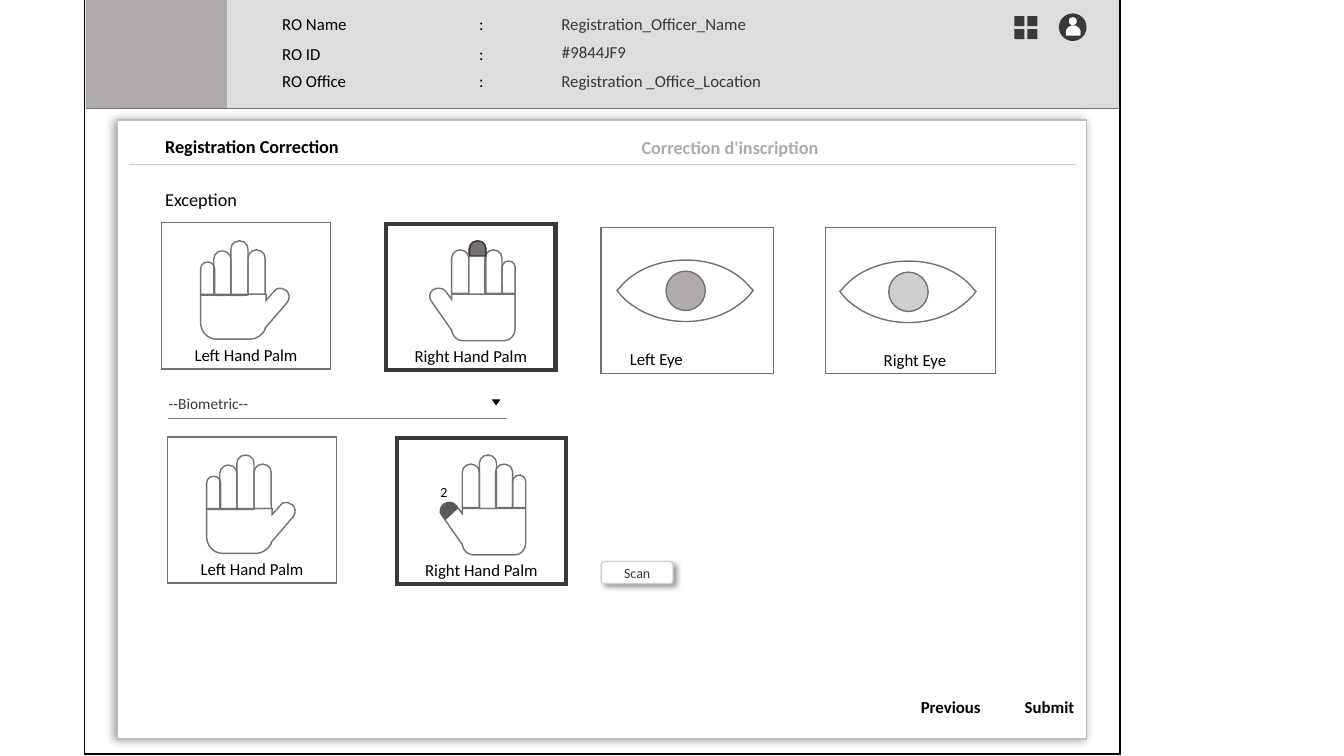
"""Build the registration correction screen with its biometric exception tiles."""
from dataclasses import dataclass
from typing import Any, NamedTuple, Optional, Union

from lxml import etree
from pptx import Presentation
from pptx import util as u
from pptx.dml import color
from pptx.enum import shapes, text
from pptx.oxml import ns
from pptx.shapes import autoshape, shapetree

WIDTH, HEIGHT = u.Inches(13.33), u.Inches(7.5)
COLUMNS, ROWS = 1333, 750
Kind = shapes.MSO_SHAPE
Align = text.PP_ALIGN
Layer = Union[shapetree.SlideShapes, shapetree.GroupShapes]
Segments = tuple[tuple[float, ...], ...]


@dataclass(frozen=True)
class Theme:
    font: str = "Calibri"
    black: str = "000000"
    white: str = "FFFFFF"
    dark: str = "3B3838"
    outline: str = "767171"
    muted: str = "AFABAB"
    pale: str = "D0CECE"
    band: str = "DDDDDD"
    card_edge: str = "BFBFBF"
    grey: str = "808080"
    thumb: str = "595959"
    heading: float = 13
    body: float = 12
    field: float = 11
    small: float = 10


T = Theme()


class Box(NamedTuple):
    left: float
    top: float
    width: float
    height: float

    def shifted(self, across: float, down: float) -> "Box":
        return Box(self.left + across, self.top + down, self.width, self.height)


class Shadow(NamedTuple):
    colour: str
    opacity: int
    blur: float
    distance: float
    angle: int


class Label(NamedTuple):
    wording: str
    box: Box
    size: float = T.body
    colour: str = T.black
    bold: bool = False
    align: Optional[Align] = None
    wrap: bool = True
    margin: float = 0


class Hand(NamedTuple):
    caption: str
    fingers: tuple[Box, ...]
    palm: Segments


class Officer(NamedTuple):
    title: str
    title_top: float
    value: str
    value_box: Box


LEFT_HAND = Hand(
    "Left Hand Palm",
    (Box(52, 28, 17, 44), Box(69, 18, 17, 54), Box(86, 27, 17, 44), Box(39, 39, 14, 33)),
    ((117, 65), (119, 65, 121, 65, 123, 67), (124, 67), (127, 70, 128, 75, 125, 79),
     (103, 104.5), (103, 106), (100, 111, 95, 115.5, 88, 115.5), (55, 115.5),
     (46, 115.5, 39, 108, 39, 99), (39, 71), (104, 71), (104, 77), (112, 68),
     (113, 66, 115, 65, 117, 65)))
RIGHT_HAND = Hand(
    "Right Hand Palm",
    (Box(65, 26, 17, 43), Box(82, 17, 17, 53), Box(98, 26, 17, 43), Box(115, 37, 13, 32)),
    ((53, 64), (55, 64, 58, 65, 59, 67), (65, 75), (65, 70), (128, 70), (128, 104),
     (128, 111, 123, 116, 117, 116), (76, 116), (71, 116, 66, 112, 65, 106), (65, 105),
     (64.5, 105), (64, 104.5, 64, 104, 63.5, 103.5),
     (45, 77), (42, 73, 43, 68, 47, 65), (48, 65), (49, 64, 51, 64, 53, 64)))
EYELIDS = ((68, 0), (95, 0, 118, 10, 132, 27), (135, 30), (132, 34),
           (118, 50, 95, 61, 68, 61), (41, 61, 17, 50, 3, 34), (0, 30), (3, 27),
           (17, 10, 41, 0, 68, 0))
OFFICER = (Officer("RO Name", 9, "Registration_Officer_Name", Box(541, 9, 212, 30)),
           Officer("RO Office", 65, "Registration _Office_Location", Box(541, 65, 227, 30)),
           Officer("RO ID", 38, "#9844JF9", Box(541.5, 36.5, 91, 30)))


def x(columns: float) -> u.Emu:
    return u.Emu(round(WIDTH * columns / COLUMNS))


def y(rows: float) -> u.Emu:
    return u.Emu(round(HEIGHT * rows / ROWS))


def place(box: Box) -> tuple[u.Emu, ...]:
    return x(box.left), y(box.top), x(box.width), y(box.height)


def paint(part: autoshape.Shape, fill: Optional[str], edge: Optional[str], weight: float) -> None:
    part.shadow.inherit = False
    if fill:
        part.fill.solid()
        part.fill.fore_color.rgb = color.RGBColor.from_string(fill)
    else:
        part.fill.background()
    if edge:
        part.line.color.rgb = color.RGBColor.from_string(edge)
        part.line.width = u.Pt(weight)
        stroke = part._element.spPr.find(ns.qn("a:ln"))
        etree.SubElement(stroke, ns.qn("a:miter"), lim="800000")
    else:
        part.line.fill.background()


def draw(layer: Layer, kind: Kind, box: Box, fill: Optional[str] = None,
         edge: Optional[str] = None, weight: float = 1, turn: float = 0,
         bends: tuple[float, ...] = ()) -> autoshape.Shape:
    part = layer.add_shape(kind, *place(box))
    paint(part, fill, edge, weight)
    part.rotation = turn
    for index, bend in enumerate(bends):
        part.adjustments[index] = bend
    return part


def cast(part: autoshape.Shape, shadow: Shadow) -> None:
    effects = part._element.spPr.find(ns.qn("a:effectLst"))
    outer = etree.SubElement(effects, ns.qn("a:outerShdw"), blurRad=str(u.Pt(shadow.blur)),
                             dist=str(u.Pt(shadow.distance)), dir=str(shadow.angle * 60000),
                             algn="ctr", rotWithShape="0")
    tint = etree.SubElement(outer, ns.qn("a:srgbClr"), val=shadow.colour)
    etree.SubElement(tint, ns.qn("a:alpha"), val=str(shadow.opacity * 1000))


def rule(layer: Layer, start: float, end: float, row: float, colour: str, weight: float) -> None:
    line = layer.add_connector(shapes.MSO_CONNECTOR.STRAIGHT, x(start), y(row), x(end), y(row))
    line.line.color.rgb = color.RGBColor.from_string(colour)
    line.line.width = u.Pt(weight)
    etree.SubElement(line._element.spPr, ns.qn("a:effectLst"))


def fill_text(frame: Any, label: Label) -> None:
    paragraph = frame.paragraphs[0]
    paragraph.alignment = label.align
    properties = paragraph._p.get_or_add_pPr()
    properties.set("marL", str(x(label.margin)))
    properties.set("indent", "0")
    properties.set("defTabSz", str(u.Inches(1)))
    run = paragraph.add_run()
    run.text = label.wording
    run.font.name, run.font.size, run.font.bold = T.font, u.Pt(label.size), label.bold
    run.font.color.rgb = color.RGBColor.from_string(label.colour)


def write(layer: Layer, label: Label) -> None:
    frame = layer.add_textbox(*place(label.box)).text_frame
    frame.word_wrap = label.wrap
    frame.auto_size = text.MSO_AUTO_SIZE.SHAPE_TO_FIT_TEXT
    fill_text(frame, label)


def trace(layer: Layer, segments: Segments, left: float, top: float) -> None:
    ends = [(x(left + segment[-2]), y(top + segment[-1])) for segment in segments]
    builder = layer.build_freeform(*ends[0], scale=1.0)
    builder.add_line_segments(ends[1:], close=True)
    outline = builder.convert_to_shape()
    paint(outline, None, T.outline, 1)
    strokes = list(outline._element.iter(ns.qn("a:lnTo")))
    for stroke, segment in zip(strokes, segments[1:]):
        if len(segment) == 6:
            curve = etree.Element(ns.qn("a:cubicBezTo"))
            for across, down in zip(segment[::2], segment[1::2]):
                etree.SubElement(curve, ns.qn("a:pt"), x=str(x(left + across) - outline.left),
                                 y=str(y(top + down) - outline.top))
            stroke.getparent().replace(stroke, curve)


def hand_tile(page: Layer, hand: Hand, left: float, top: float, edge: str, weight: float) -> Layer:
    tile = page.add_group_shape().shapes
    for finger in hand.fingers:
        draw(tile, Kind.ROUND_2_SAME_RECTANGLE, finger.shifted(left, top), None, T.outline,
             bends=(0.478, 0.033))
    trace(tile, hand.palm, left, top)
    draw(tile, Kind.FLOWCHART_PROCESS, Box(left, top, 168, 145), None, edge, weight)
    write(tile, Label(hand.caption, Box(left, top + 116, 168, 30), align=Align.CENTER))
    return tile


def eye(page: Layer, left: float, top: float, iris: str) -> None:
    group = page.add_group_shape().shapes
    trace(group, EYELIDS, left, top)
    draw(group, Kind.OVAL, Box(left + 48.5, top + 11, 39, 39), iris, T.outline)


def header(page: Layer) -> None:
    band = page.add_group_shape().shapes
    draw(band, Kind.RECTANGLE, Box(86, -1, 1024, 109), T.band)
    draw(band, Kind.RECTANGLE, Box(85, -2, 140, 110), T.muted)
    rule(band, 85, 1112, 108, T.outline, 0.5)
    for row in OFFICER:
        write(band, Label(row.value, row.value_box, colour=T.dark, wrap=False, margin=6))
        write(band, Label(f"{row.title}\t\t:", Box(264, row.title_top, 227, 30),
                          wrap=False, margin=6))
    draw(band, Kind.OVAL, Box(1051, 14, 26, 26), T.dark, T.dark)
    draw(band, Kind.OVAL, Box(1060, 17, 8, 8), T.white)
    draw(band, Kind.CHORD, Box(1057, 25, 15, 15), T.white, turn=111.5)
    for top in (16, 29):
        for left in (1006, 1019):
            draw(band, Kind.RECTANGLE, Box(left, top, 10, 10), T.dark)


def main() -> None:
    deck = Presentation()
    deck.slide_width, deck.slide_height = WIDTH, HEIGHT
    page = deck.slides.add_slide(deck.slide_layouts[6]).shapes

    card = draw(page, Kind.ROUNDED_RECTANGLE, Box(116.5, 119, 961, 614), T.white, T.card_edge,
                bends=(0,))
    cast(card, Shadow(T.grey, 80, 6, 2, 170))
    write(page, Label("Registration Correction", Box(154, 129.5, 223, 32), T.heading, bold=True))
    write(page, Label("Correction d'inscription", Box(626.5, 130, 267, 32), T.heading, T.muted,
                      True))
    rule(page, 128, 1067, 163.5, T.pale, 0.5)
    header(page)
    draw(page, Kind.RECTANGLE, Box(84, -2, 1027, 750), None, T.black)
    for action, left, width in (("Submit", 1006, 70), ("Previous", 903, 80)):
        write(page, Label(action, Box(left, 686.5, width, 30), bold=True, align=Align.CENTER,
                          wrap=False))

    hand_tile(page, LEFT_HAND, 160, 221, T.outline, 1)
    hand_tile(page, RIGHT_HAND, 383, 222, T.dark, 3)
    draw(page, Kind.ROUND_2_SAME_RECTANGLE, Box(466, 239, 16, 15), T.outline, T.dark,
         bends=(0.5, 0))
    draw(page, Kind.FLOWCHART_PROCESS, Box(596, 225.5, 171.5, 145), None, T.outline)
    write(page, Label("Left Eye", Box(567, 341, 168, 30), align=Align.CENTER))
    eye(page, 612, 258, T.muted)
    write(page, Label("Right Eye", Box(823.5, 342, 168, 30), align=Align.CENTER))
    eye(page, 833, 259, T.pale)
    draw(page, Kind.FLOWCHART_PROCESS, Box(819, 226, 168, 145), None, T.outline, 0.75)
    write(page, Label("Exception", Box(154, 182, 223, 32), T.heading))

    draw(page, Kind.ISOSCELES_TRIANGLE, Box(489, 397, 6, 4), T.black, T.black, turn=180)
    rule(page, 167, 503, 415.5, T.grey, 1)
    write(page, Label("--Biometric--", Box(157.5, 386.5, 100, 29), T.field, T.dark, wrap=False))
    write(page, Label("2", Box(427, 475, 26, 27), T.small))
    hand_tile(page, LEFT_HAND, 166, 433.5, T.outline, 1)
    scanned = hand_tile(page, RIGHT_HAND, 393.5, 434.5, T.dark, 3)
    draw(scanned, Kind.ROUND_2_SAME_RECTANGLE, Box(436, 500, 16, 11), T.thumb, T.thumb,
         turn=317.1, bends=(0.5, 0))

    scan_box = Box(596.5, 557, 71, 22)
    scan = draw(page, Kind.ROUNDED_RECTANGLE, scan_box, T.white, T.pale, bends=(0.135,))
    cast(scan, Shadow(T.black, 40, 4, 3, 45))
    scan.text_frame.vertical_anchor = text.MSO_ANCHOR.MIDDLE
    fill_text(scan.text_frame, Label("Scan", scan_box, T.small, T.dark, align=Align.CENTER))
    deck.save("out.pptx")


if __name__ == "__main__":
    main()
